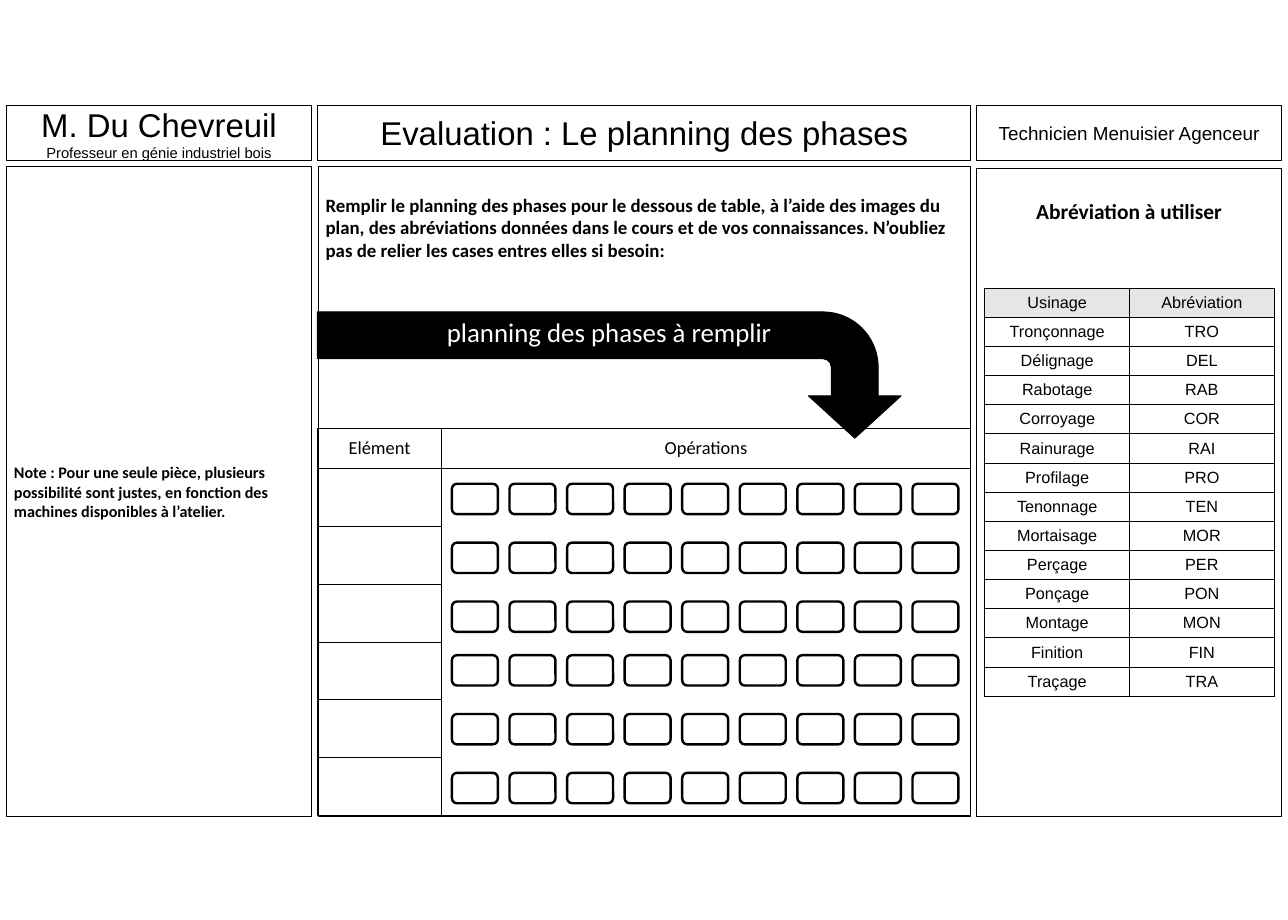
import dataclasses
import itertools
import typing

import pptx
import pptx.dml.color
import pptx.enum.shapes
import pptx.enum.text
import pptx.oxml
import pptx.oxml.ns
import pptx.util

Pt = pptx.util.Pt
Shape = pptx.enum.shapes.MSO_SHAPE
Anchor = pptx.enum.text.MSO_ANCHOR
Align = pptx.enum.text.PP_ALIGN

BLACK, WHITE, GREY = "000000", "FFFFFF", "E7E6E6"


@dataclasses.dataclass(frozen=True)
class Line:
    """One paragraph in a single format."""
    text: str
    size: float
    font: str = "Arial"
    color: str = BLACK
    bold: bool = False
    align: typing.Any = Align.CENTER


@dataclasses.dataclass(frozen=True)
class Block:
    """A preset shape with its place, look and text."""
    left: float
    top: float
    width: float
    height: float
    lines: tuple[Line, ...] = ()
    kind: typing.Any = Shape.RECTANGLE
    fill: str | None = WHITE
    line_width: float = 1
    anchor: typing.Any = Anchor.MIDDLE
    margin_top: float = 3.6


@dataclasses.dataclass(frozen=True)
class Grid:
    """A table; header_fill colours its first row."""
    left: float
    top: float
    columns: tuple[float, ...]
    rows: tuple[float, ...]
    texts: tuple[tuple[str, ...], ...]
    size: float
    font: str
    header_fill: str | None = None


def apply(target: typing.Any, values: dict[str, typing.Any]) -> None:
    for name, value in values.items():
        setattr(target, name, value)


def rgb(color: str) -> pptx.dml.color.RGBColor:
    return pptx.dml.color.RGBColor.from_string(color)


def paint(fill: typing.Any, color: str | None) -> None:
    if color is None:
        fill.background()
    else:
        fill.solid()
        fill.fore_color.rgb = rgb(color)


def write(frame: typing.Any, lines: tuple[Line, ...]) -> None:
    for index, line in enumerate(lines):
        para = frame.add_paragraph() if index else frame.paragraphs[0]
        para.alignment = line.align
        span = para.add_run()
        span.text = line.text
        apply(span.font, {"size": Pt(line.size), "name": line.font, "bold": line.bold})
        span.font.color.rgb = rgb(line.color)


def draw_block(page: typing.Any, block: Block) -> typing.Any:
    place = (block.left, block.top, block.width, block.height)
    shape = page.shapes.add_shape(block.kind, *map(Pt, place))
    shape.shadow.inherit = False
    paint(shape.fill, block.fill)
    paint(shape.line.fill, BLACK)
    shape.line.width = Pt(block.line_width)
    apply(shape.text_frame, {"word_wrap": True, "vertical_anchor": block.anchor,
                             "margin_top": Pt(block.margin_top)})
    write(shape.text_frame, block.lines)
    return shape


def add_borders(cell: typing.Any) -> None:
    properties = cell._tc.get_or_add_tcPr()
    for side in ("lnL", "lnR", "lnT", "lnB"):
        properties.append(pptx.oxml.parse_xml(
            f'<a:{side} {pptx.oxml.ns.nsdecls("a")} w="12700"><a:solidFill>'
            f'<a:srgbClr val="{BLACK}"/></a:solidFill></a:{side}>'))


def draw_grid(page: typing.Any, grid: Grid) -> typing.Any:
    place = (grid.left, grid.top, sum(grid.columns), sum(grid.rows))
    table = page.shapes.add_table(
        len(grid.rows), len(grid.columns), *map(Pt, place)).table
    apply(table, {"first_row": False, "horz_banding": False})
    for column, width in zip(table.columns, grid.columns):
        column.width = Pt(width)
    for row, height in zip(table.rows, grid.rows):
        row.height = Pt(height)
    cell_format = {"margin_left": Pt(8.9), "margin_right": Pt(8.9), "margin_top": Pt(4.4),
                   "margin_bottom": Pt(4.4), "vertical_anchor": Anchor.MIDDLE}
    for index, row in enumerate(table.rows):
        for cell in row.cells:
            apply(cell, cell_format)
            add_borders(cell)
            paint(cell.fill, None if index else grid.header_fill)
    for row, texts in zip(table.rows, grid.texts):
        for cell, text in zip(row.cells, texts):
            write(cell.text_frame, (Line(text, grid.size, grid.font),))
    return table


LEFT, CENTRE, RIGHT = 5.8, 293.8, 902.2
SIDE_WIDTH, CENTRE_WIDTH = 282.2, 603.3
HEADER_TOP, HEADER_HEIGHT = 97.2, 51.1
BODY_TOP, BODY_HEIGHT = 154.1, 600.5

PANELS = (
    Block(CENTRE, HEADER_TOP, CENTRE_WIDTH, HEADER_HEIGHT,
          (Line("Evaluation : Le planning des phases", 30.4),)),
    Block(LEFT, BODY_TOP, SIDE_WIDTH, BODY_HEIGHT,
          (Line("Note : Pour une seule pièce, plusieurs possibilité sont justes, en fonction "
                "des machines disponibles à l’atelier.", 14.9, "Calibri", bold=True,
                align=Align.LEFT),)),
    Block(CENTRE, BODY_TOP, CENTRE_WIDTH, BODY_HEIGHT,
          (Line("Remplir le planning des phases pour le dessous de table, à l’aide des images "
                "du plan, des abréviations données dans le cours et de vos connaissances. "
                "N’oubliez pas de relier les cases entres elles si besoin:", 17.4, "Calibri",
                bold=True, align=Align.LEFT),),
          fill=None, line_width=0.75, anchor=Anchor.TOP, margin_top=24.8),
    Block(RIGHT, 155.5, SIDE_WIDTH, 599,
          (Line("Abréviation à utiliser", 19.8, "Calibri", bold=True),),
          anchor=Anchor.TOP, margin_top=27.8),
    Block(LEFT, HEADER_TOP, SIDE_WIDTH, HEADER_HEIGHT,
          (Line("M. Du Chevreuil", 30.4), Line("Professeur en génie industriel bois", 13.6))),
    Block(RIGHT, HEADER_TOP, SIDE_WIDTH, HEADER_HEIGHT,
          (Line("Technicien Menuisier Agenceur", 17.4),)),
)

PLANNING = Grid(CENTRE, 396, (114, 489.3), (37.4,) + (53.4,) * 6,
                (("Elément", "Opérations"),), 17, "Calibri")

ABBREVIATIONS = (
    ("Usinage", "Abréviation"), ("Tronçonnage", "TRO"), ("Délignage", "DEL"),
    ("Rabotage", "RAB"), ("Corroyage", "COR"), ("Rainurage", "RAI"), ("Profilage", "PRO"),
    ("Tenonnage", "TEN"), ("Mortaisage", "MOR"), ("Perçage", "PER"), ("Ponçage", "PON"),
    ("Montage", "MON"), ("Finition", "FIN"), ("Traçage", "TRA"),
)
GLOSSARY = Grid(910.1, 266.4, (133.7, 133.7), (26.95,) * len(ABBREVIATIONS),
                ABBREVIATIONS, 15, "Arial", GREY)

ARROW = Block(504.7, 77, 116.6, 539.3,
              (Line("planning des phases à remplir", 24.8, "Calibri", WHITE),),
              kind=Shape.BENT_ARROW, fill=BLACK, anchor=Anchor.TOP)

PHASE_GROUP_TOPS = (447.1, 605.5)
PHASE_ROWS, PHASE_COLUMNS = 3, 9


def draw_phase_boxes(page: typing.Any) -> None:
    for top, row, column in itertools.product(
            PHASE_GROUP_TOPS, range(PHASE_ROWS), range(PHASE_COLUMNS)):
        draw_block(page, Block(417.6 + 53.2 * column, top + 54.4 * row, 42.5, 28.1,
                               kind=Shape.ROUNDED_RECTANGLE, line_width=2.25))


def draw_arrow(page: typing.Any) -> None:
    arrow = draw_block(page, ARROW)
    arrow.rotation = 90
    for index, value in enumerate((0.37, 0.367, 0.335, 0.438)):
        arrow.adjustments[index] = value
    body = arrow.element.find(".//" + pptx.oxml.ns.qn("a:bodyPr"))
    body.set("vert", "vert270")


def main() -> None:
    deck = pptx.Presentation()
    apply(deck, {"slide_width": Pt(1190.2), "slide_height": Pt(850.3)})
    page = deck.slides.add_slide(deck.slide_layouts[6])
    for panel in PANELS:
        draw_block(page, panel)
    planning = draw_grid(page, PLANNING)
    planning.cell(1, 1).merge(planning.cell(6, 1))
    draw_phase_boxes(page)
    draw_arrow(page)
    draw_grid(page, GLOSSARY)
    deck.save("out.pptx")


if __name__ == "__main__":
    main()
